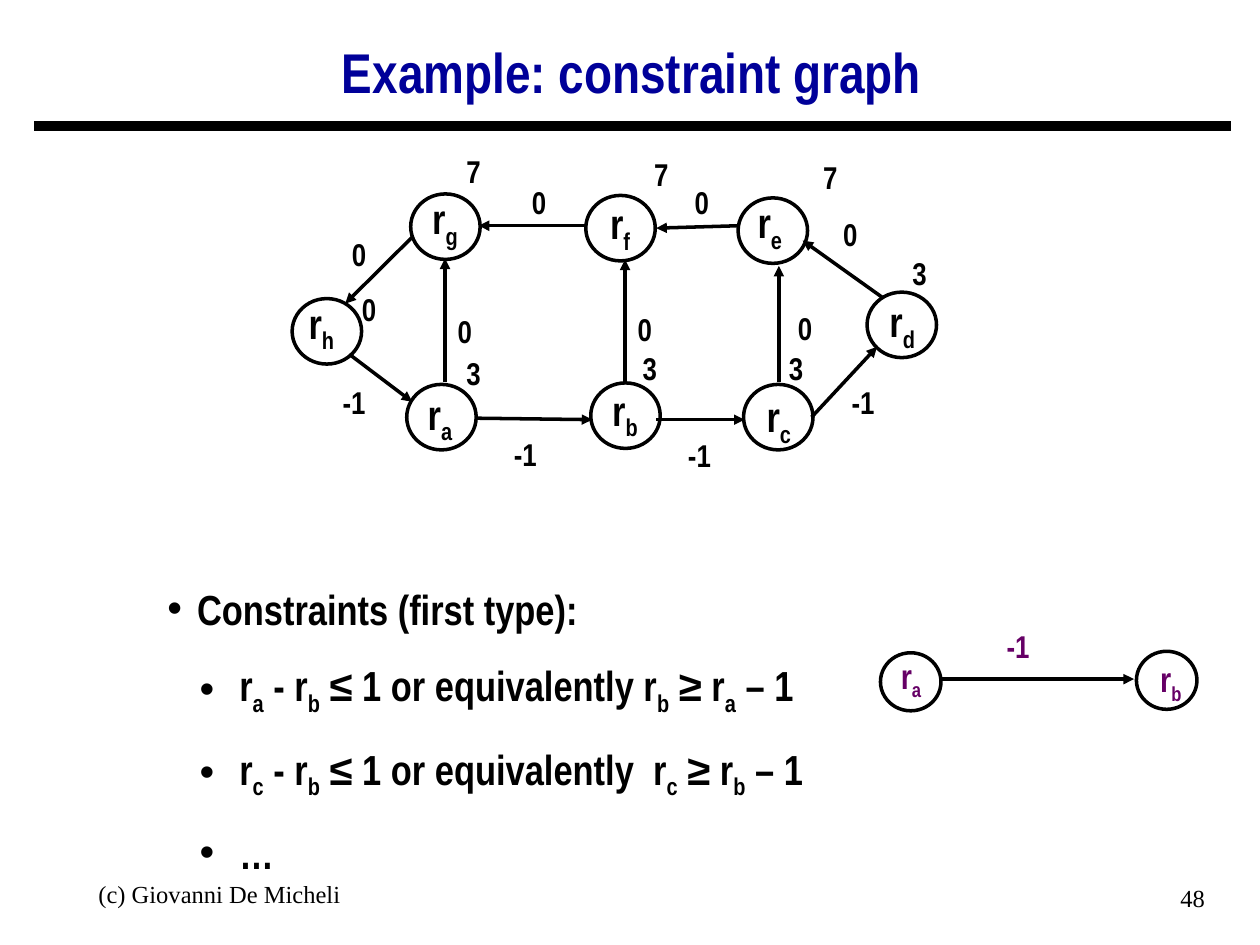
from lxml.etree import SubElement
from pptx import Presentation
from pptx.dml.color import RGBColor
from pptx.enum.shapes import MSO_CONNECTOR, MSO_SHAPE
from pptx.enum.text import MSO_ANCHOR, MSO_AUTO_SIZE, PP_ALIGN
from pptx.oxml.ns import qn
from pptx.util import Cm, Pt

# Content: every length is in centimetres, "_x" makes x a subscript
TITLE = "Example: constraint graph"
CONSTRAINTS = [
    (0, "Constraints (first type):"),
    (1, "r_a - r_b ≤ 1 or equivalently r_b ≥ r_a – 1"),
    (1, "r_c - r_b ≤ 1 or equivalently  r_c ≥ r_b – 1"),
    (1, "…"),
]
# Node: (circle left, top), (label left, top)
NODES = {
    "r_a": ((8.2, 7.75), (7.09, 7.7)),
    "r_b": ((11.91, 7.72), (10.82, 7.62)),
    "r_c": ((14.99, 7.75), (13.92, 7.75)),
    "r_d": ((17.48, 5.89), (16.41, 5.84)),
    "r_e": ((14.88, 3.99), (13.74, 3.84)),
    "r_f": ((11.81, 3.94), (10.72, 3.86)),
    "r_g": ((8.28, 3.91), (7.19, 3.76)),
    "r_h": ((5.89, 6.02), (4.7, 5.87)),
}
# Edge: start, end
EDGES = [
    ((8.97, 7.7), (8.97, 5.21)),      # a to g
    ((8.31, 4.78), (6.96, 6.12)),     # g to h
    ((7.04, 7.14), (8.31, 8.1)),      # h to a
    ((12.6, 7.7), (12.6, 5.23)),      # b to f
    ((14.91, 4.55), (13.23, 4.6)),    # e to f
    ((16.36, 8.41), (17.68, 6.99)),   # c to d
    ((17.78, 5.99), (16.18, 4.85)),   # d to e
    ((15.7, 7.7), (15.7, 5.36)),      # c to e
    ((9.58, 8.43), (11.94, 8.46)),    # a to b
    ((13.23, 8.46), (15.01, 8.46)),   # b to c
    ((11.79, 4.55), (9.65, 4.55)),    # f to g
]
# Edge weights and node delays, each with its label positions
NUMBERS = {
    "7": [(8.79, 2.95), (12.57, 3), (15.98, 3.07)],
    "3": [(17.78, 5), (15.29, 6.91), (12.34, 6.91), (8.79, 7.01)],
    "0": [(16.38, 4.22), (13.39, 3.56), (15.47, 6.1), (12.24, 6.12),
          (8.61, 6.17), (10.11, 3.56), (6.48, 4.62), (6.68, 5.72)],
    "-1": [(16.64, 7.59), (13.34, 8.66), (9.83, 8.64), (6.38, 7.59)],
}
SAMPLE_CIRCLES = [(22.91, 13.13), (17.75, 13.16)]
SAMPLE_LABELS = [  # text, box, type size name
    ("r_a", (17.84, 13.06, 1.05, 1.22), "sample"),
    ("r_b", (23.08, 13.13, 1.05, 1.22), "sample"),
    ("-1", (20, 12.52, 1.05, 1.02), "number"),
]
SAMPLE_EDGE = ((18.95, 13.69), (22.86, 13.69))
FOOTERS = [
    ("(c) Giovanni De Micheli", (0.1, 17.6, 8.05, 1.32), PP_ALIGN.CENTER),
    ("48", (18.62, 17.68, 5.92, 1.32), PP_ALIGN.RIGHT),
]

THEME = {
    "font": "Arial Narrow", "footer font": "Times New Roman",
    "ink": RGBColor(0, 0, 0), "title ink": RGBColor(0, 0, 0x99),
    "sample ink": RGBColor(0x66, 0, 0x66), "paper": RGBColor(255, 255, 255),
    "sizes": {"title": 32, "body": 24, "node": 24, "sample": 20,
              "number": 18, "footer": 14},
    "line": 2, "rule": 6,
}
NODE_SIZE, NODE_LABEL_SIZE = (1.4, 1.32), (3.56, 1.42)
NUMBER_SIZE, SAMPLE_SIZE = (1.52, 1.02), (1.22, 1.17)
BULLET_MARGINS = [(0.6, -0.6), (1.45, -0.8)]  # left, first line, by level


def place(shape, box):
    shape.left, shape.top, shape.width, shape.height = map(Cm, box)


def write(paragraph, text, size, ink="ink", font="font", bold=True, align=None):
    first, *rest = text.split("_")
    paragraph.add_run().text = first
    for part in rest:
        subscript = paragraph.add_run()
        subscript.text = part[0]
        subscript._r.get_or_add_rPr().set("baseline", "-25000")
        if part[1:]:
            paragraph.add_run().text = part[1:]
    paragraph.alignment = align
    paragraph.font.name = THEME[font]
    paragraph.font.size = Pt(THEME["sizes"][size])
    paragraph.font.bold = bold
    paragraph.font.color.rgb = THEME[ink]


def add_label(shapes, text, box, size, margin=0.25, align=PP_ALIGN.CENTER, **style):
    textbox = shapes.add_textbox(*map(Cm, box))
    frame = textbox.text_frame
    frame.word_wrap = True
    frame.margin_left = frame.margin_right = Cm(margin)
    paragraph = frame.paragraphs[0]
    write(paragraph, text, size, align=align, **style)
    return paragraph


def add_circle(shapes, kind, position, size, filled=False):
    circle = shapes.add_shape(kind, *map(Cm, position + size))
    circle.shadow.inherit = False
    if filled:
        circle.fill.solid()
        circle.fill.fore_color.rgb = THEME["paper"]
    else:
        circle.fill.background()
    circle.line.color.rgb = THEME["ink"]
    circle.line.width = Pt(THEME["line"])


def add_line(shapes, start, end, width=THEME["line"], arrow=True):
    line = shapes.add_connector(MSO_CONNECTOR.STRAIGHT, *map(Cm, start + end))
    line.line.color.rgb = THEME["ink"]
    line.line.width = Pt(width)
    if arrow:
        SubElement(line.line._get_or_add_ln(), qn("a:tailEnd"), type="triangle")
    SubElement(line._element.spPr, qn("a:effectLst"))


def add_graph(slide):
    shapes = slide.shapes.add_group_shape().shapes
    for text, positions in NUMBERS.items():
        for position in positions:
            add_label(shapes, text, position + NUMBER_SIZE, "number")
    for position, _ in NODES.values():
        add_circle(shapes, MSO_SHAPE.FLOWCHART_CONNECTOR, position, NODE_SIZE)
    for start, end in EDGES:
        add_line(shapes, start, end)
    for text, (_, position) in NODES.items():
        add_label(shapes, text, position + NODE_LABEL_SIZE, "node")


def add_constraints(body):
    place(body, (3.12, 11.63, 19.86, 6.2))
    frame = body.text_frame
    frame.auto_size = MSO_AUTO_SIZE.NONE
    frame.vertical_anchor = MSO_ANCHOR.TOP
    for index, (level, text) in enumerate(CONSTRAINTS):
        paragraph = frame.add_paragraph() if index else frame.paragraphs[0]
        paragraph.level = level
        paragraph.space_before = Pt(15)
        write(paragraph, text, "body")
        # Bullet, which goes before the paragraph's default font
        properties = paragraph._p.get_or_add_pPr()
        margin, indent = BULLET_MARGINS[level]
        properties.set("marL", str(Cm(margin)))
        properties.set("indent", str(Cm(indent)))
        bullet = SubElement(properties, qn("a:buChar"), char="•")
        properties.find(qn("a:defRPr")).addprevious(bullet)


def add_sample(slide):
    shapes = slide.shapes.add_group_shape().shapes
    for position in SAMPLE_CIRCLES:
        add_circle(shapes, MSO_SHAPE.OVAL, position, SAMPLE_SIZE, filled=True)
    for text, box, size in SAMPLE_LABELS:
        add_label(shapes, text, box, size, margin=0, ink="sample ink")
    add_line(shapes, *SAMPLE_EDGE)


def main():
    presentation = Presentation()
    presentation.slide_width, presentation.slide_height = Cm(25.4), Cm(19.05)
    slide = presentation.slides.add_slide(presentation.slide_layouts[1])

    # Title and rule
    title = slide.shapes.title
    place(title, (0.66, 0.56, 24.16, 1.9))
    title.text_frame.auto_size = MSO_AUTO_SIZE.NONE
    title.text_frame.vertical_anchor = MSO_ANCHOR.MIDDLE
    heading = title.text_frame.paragraphs[0]
    heading.line_spacing = 0.9
    write(heading, TITLE, "title", ink="title ink", align=PP_ALIGN.CENTER)
    add_line(slide.shapes, (0.69, 2.54), (24.82, 2.54), THEME["rule"], arrow=False)

    # Graph, constraints and the sample edge
    add_graph(slide)
    add_constraints(slide.placeholders[1])
    add_sample(slide)

    # Footer
    for text, box, align in FOOTERS:
        paragraph = add_label(slide.shapes, text, box, "footer", align=align,
                              font="footer font", bold=False)
        paragraph._p.get_or_add_pPr().set("marL", str(Cm(0.6)))

    presentation.save("out.pptx")


if __name__ == "__main__":
    main()
